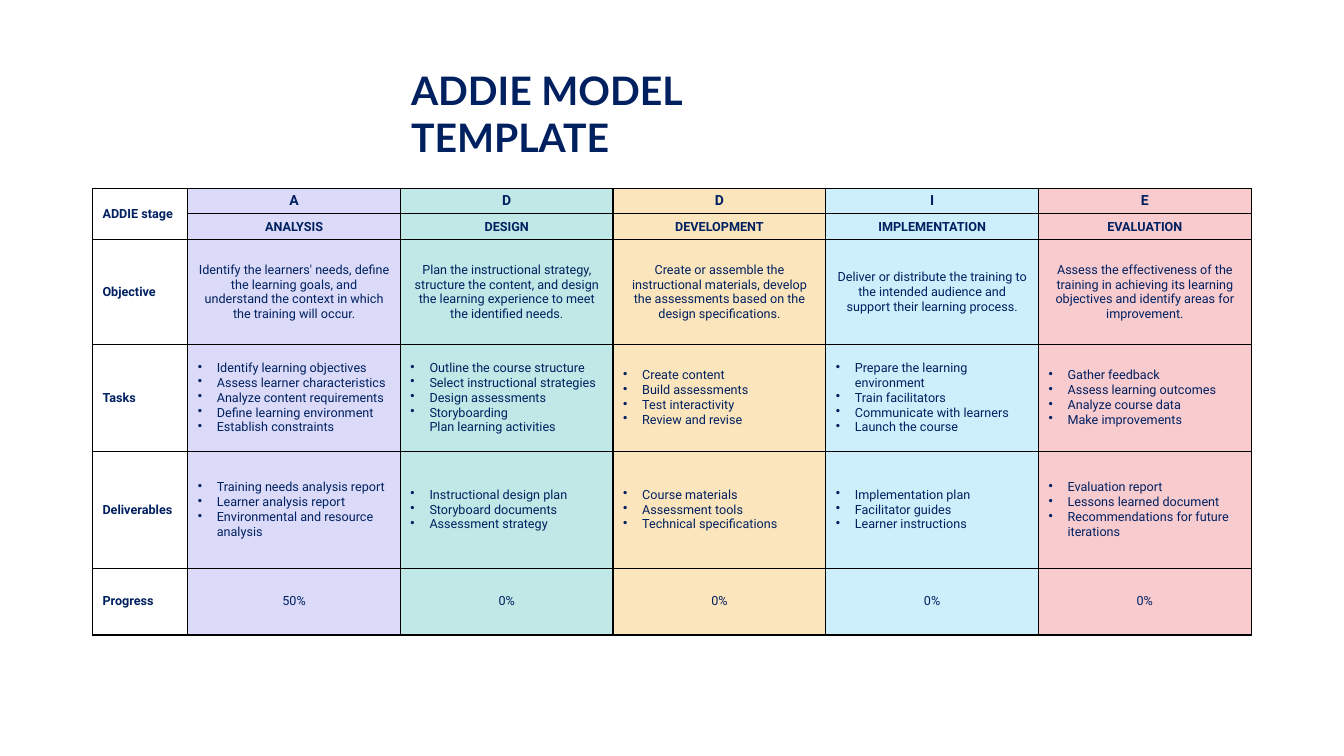
from dataclasses import dataclass

import pptx
import pptx.dml.color
import pptx.enum.text
import pptx.oxml.xmlchemy
import pptx.oxml
import pptx.oxml.ns
import pptx.table
import pptx.text.text
import pptx.util
from lxml import etree

Cm = pptx.util.Cm
Pt = pptx.util.Pt
RGBColor = pptx.dml.color.RGBColor
PP_ALIGN = pptx.enum.text.PP_ALIGN

NAVY = RGBColor(0x00, 0x20, 0x60)
BLACK = RGBColor(0x00, 0x00, 0x00)
LAVENDER = RGBColor(0xDB, 0xDB, 0xF9)
TEAL = RGBColor(0xBF, 0xE8, 0xE6)
SAND = RGBColor(0xFB, 0xE5, 0xBC)
SKY = RGBColor(0xCC, 0xEF, 0xFB)
ROSE = RGBColor(0xF8, 0xCB, 0xCF)

TITLE_FONT = "Lato"
TABLE_FONT = "Roboto"
BULLET_INDENT = Cm(0.48)
LABEL_WIDTH = Cm(2.4)
STAGE_WIDTH = Cm(5.36)
ROW_HEIGHTS = [Cm(height) for height in (0.65, 0.65, 2.64, 2.69, 2.95, 1.68)]
ROW_LABELS = ["ADDIE stage", "", "Objective", "Tasks", "Deliverables", "Progress"]


@dataclass(frozen=True)
class Stage:
    letter: str
    name: str
    color: RGBColor
    objective: str
    tasks: list[str]
    deliverables: list[str]
    progress: str = "0%"


STAGES = [
    Stage(
        "A", "ANALYSIS", LAVENDER,
        "Identify the learners' needs, define the learning goals, and understand "
        "the context in which the training will occur.",
        ["Identify learning objectives", "Assess learner characteristics",
         "Analyze content requirements", "Define learning environment",
         "Establish constraints"],
        ["Training needs analysis report", "Learner analysis report",
         "Environmental and resource analysis"],
        "50%",
    ),
    Stage(
        "D", "DESIGN", TEAL,
        "Plan the instructional strategy, structure the content, and design "
        "the learning experience to meet the identified needs.",
        ["Outline the course structure", "Select instructional strategies",
         "Design assessments", "Storyboarding\nPlan learning activities"],
        ["Instructional design plan", "Storyboard documents", "Assessment strategy"],
    ),
    Stage(
        "D", "DEVELOPMENT", SAND,
        "Create or assemble the instructional materials, develop the assessments "
        "based on the design specifications.",
        ["Create content", "Build assessments", "Test interactivity", "Review and revise"],
        ["Course materials", "Assessment tools", "Technical specifications"],
    ),
    Stage(
        "I", "IMPLEMENTATION", SKY,
        "Deliver or distribute the training to the intended audience and support "
        "their learning process.",
        ["Prepare the learning environment", "Train facilitators",
         "Communicate with learners", "Launch the course"],
        ["Implementation plan", "Facilitator guides", "Learner instructions"],
    ),
    Stage(
        "E", "EVALUATION", ROSE,
        "Assess the effectiveness of the training in achieving its learning "
        "objectives and identify areas for improvement.",
        ["Gather feedback", "Assess learning outcomes", "Analyze course data",
         "Make improvements"],
        ["Evaluation report", "Lessons learned document",
         "Recommendations for future iterations"],
    ),
]


def add_text(paragraph: pptx.text.text._Paragraph, text: str, size: float,
             bold: bool = False, font_name: str = TABLE_FONT) -> None:
    """Add one run per line of text, with line breaks between them."""
    for index, line in enumerate(text.split("\n")):
        if index:
            paragraph.add_line_break()
        run = paragraph.add_run()
        run.text = line
        run.font.name = font_name
        run.font.size = Pt(size)
        run.font.bold = bold
        run.font.color.rgb = NAVY


def add_bullet(paragraph: pptx.text.text._Paragraph) -> None:
    properties = paragraph._p.get_or_add_pPr()
    properties.set("marL", str(int(BULLET_INDENT)))
    properties.set("indent", str(-int(BULLET_INDENT)))
    bullet = etree.SubElement(properties, pptx.oxml.ns.qn("a:buChar"))
    bullet.set("char", "•")


def add_borders(cell: pptx.table._Cell) -> None:
    properties = cell._tc.get_or_add_tcPr()
    for side in ("a:lnL", "a:lnR", "a:lnT", "a:lnB"):
        line = etree.SubElement(properties, pptx.oxml.ns.qn(side), w=str(int(Pt(1))))
        fill = etree.SubElement(line, pptx.oxml.ns.qn("a:solidFill"))
        etree.SubElement(fill, pptx.oxml.ns.qn("a:srgbClr"), val=str(BLACK))


def format_cell(cell: pptx.table._Cell, color: RGBColor | None = None) -> None:
    """Set borders, margins and fill; a cell without a colour stays clear."""
    add_borders(cell)
    cell.vertical_anchor = pptx.enum.text.MSO_ANCHOR.MIDDLE
    cell.margin_top = cell.margin_bottom = Cm(0.1)
    if color is None:
        cell.fill.background()
    else:
        cell.fill.solid()
        cell.fill.fore_color.rgb = color


def fill_centred(cell: pptx.table._Cell, text: str, size: float = 9,
                 bold: bool = False) -> None:
    paragraph = cell.text_frame.paragraphs[0]
    paragraph.alignment = PP_ALIGN.CENTER
    add_text(paragraph, text, size, bold)


def fill_bullets(cell: pptx.table._Cell, items: list[str]) -> None:
    frame = cell.text_frame
    for index, item in enumerate(items):
        paragraph = frame.add_paragraph() if index else frame.paragraphs[0]
        add_bullet(paragraph)
        add_text(paragraph, item, 9)


def fill_stage(table: pptx.table.Table, column: int, stage: Stage) -> None:
    cells = [table.cell(row, column) for row in range(len(ROW_HEIGHTS))]
    for cell in cells:
        format_cell(cell, stage.color)
    letter, name, objective, tasks, deliverables, progress = cells
    fill_centred(letter, stage.letter, 10, bold=True)
    fill_centred(name, stage.name, bold=True)
    fill_centred(objective, stage.objective)
    fill_bullets(tasks, stage.tasks)
    fill_bullets(deliverables, stage.deliverables)
    fill_centred(progress, stage.progress)


def main() -> None:
    presentation = pptx.Presentation()
    presentation.slide_width = Cm(33.87)
    presentation.slide_height = Cm(19.05)
    slide = presentation.slides.add_slide(presentation.slide_layouts[6])

    table_width = LABEL_WIDTH + len(STAGES) * STAGE_WIDTH
    table = slide.shapes.add_table(
        len(ROW_HEIGHTS), len(STAGES) + 1,
        Cm(2.33), Cm(4.74), table_width, sum(ROW_HEIGHTS),
    ).table
    table.first_row = table.horz_banding = False
    for row, height in zip(table.rows, ROW_HEIGHTS):
        row.height = height
    for column in table.columns:
        column.width = STAGE_WIDTH
    table.columns[0].width = LABEL_WIDTH

    for row_index, label in enumerate(ROW_LABELS):
        cell = table.cell(row_index, 0)
        format_cell(cell)
        if label:
            add_text(cell.text_frame.paragraphs[0], label, 9, bold=True)
    table.cell(0, 0).merge(table.cell(1, 0))
    for column_index, stage in enumerate(STAGES, start=1):
        fill_stage(table, column_index, stage)

    title = slide.shapes.add_textbox(Cm(10.11), Cm(1.55), Cm(12.37), Cm(1.45))
    title.text_frame.word_wrap = True
    title.text_frame.auto_size = pptx.enum.text.MSO_AUTO_SIZE.SHAPE_TO_FIT_TEXT
    add_text(title.text_frame.paragraphs[0], "ADDIE MODEL TEMPLATE", 28, True, TITLE_FONT)

    presentation.save("out.pptx")


if __name__ == "__main__":
    main()
